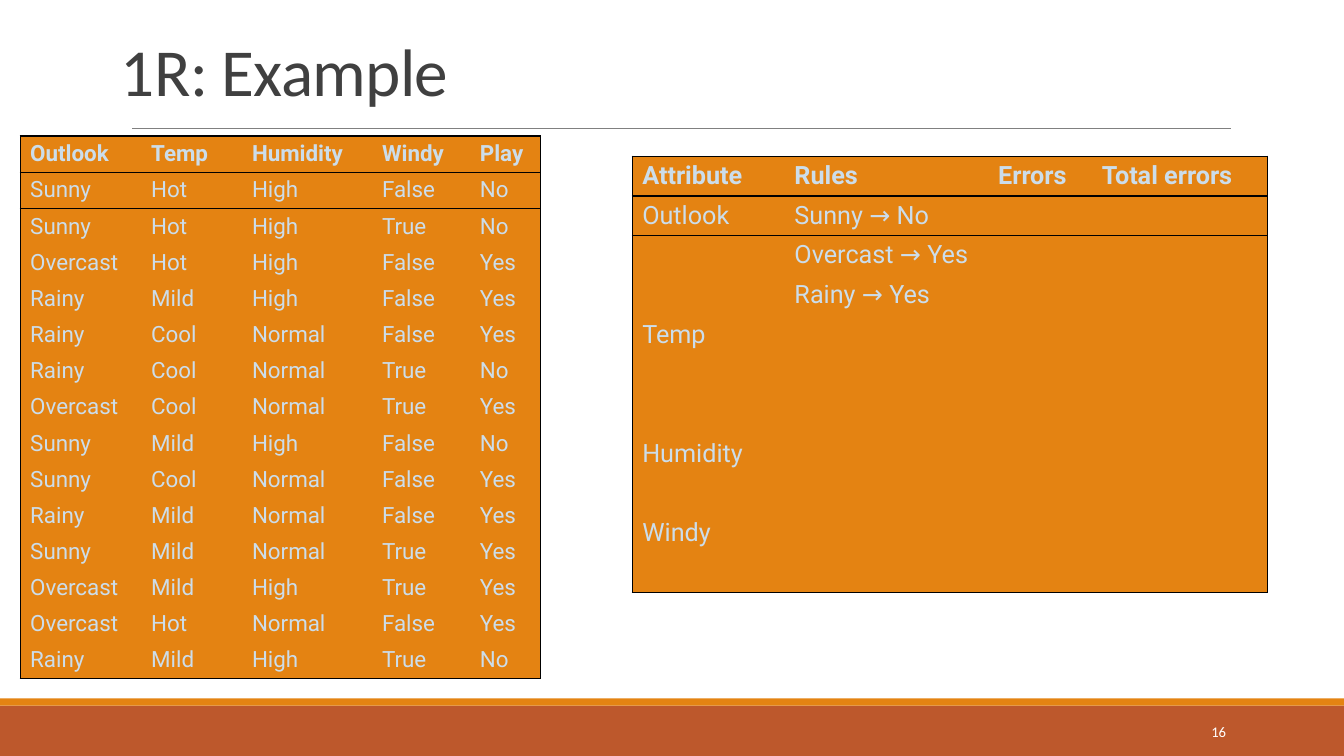
from lxml import etree
from pptx import Presentation
from pptx.dml.color import RGBColor
from pptx.enum.shapes import MSO_CONNECTOR, MSO_SHAPE
from pptx.enum.text import MSO_ANCHOR, MSO_AUTO_SIZE, PP_ALIGN
from pptx.oxml.ns import qn
from pptx.text.text import Font
from pptx.util import Inches, Pt

RECT = MSO_SHAPE.RECTANGLE
STRAIGHT = MSO_CONNECTOR.STRAIGHT
BOTTOM, MIDDLE = MSO_ANCHOR.BOTTOM, MSO_ANCHOR.MIDDLE
LEFT, RIGHT = PP_ALIGN.LEFT, PP_ALIGN.RIGHT
FIXED = MSO_AUTO_SIZE.NONE

RUST = RGBColor(0xBD, 0x58, 0x2C)
ORANGE = RGBColor(0xE4, 0x83, 0x12)
GRAY = RGBColor(0x80, 0x80, 0x80)
DARK = RGBColor(0x40, 0x40, 0x40)
PALE = RGBColor(0xCC, 0xDD, 0xEA)
WHITE = RGBColor(0xFF, 0xFF, 0xFF)
BLACK = RGBColor(0, 0, 0)
NO_GRID = "{2D5ABB26-0587-4C30-8999-92F81FD0307C}"

WEATHER = """Outlook Temp Humidity Windy Play
Sunny Hot High False No
Sunny Hot High True No
Overcast Hot High False Yes
Rainy Mild High False Yes
Rainy Cool Normal False Yes
Rainy Cool Normal True No
Overcast Cool Normal True Yes
Sunny Mild High False No
Sunny Cool Normal False Yes
Rainy Mild Normal False Yes
Sunny Mild Normal True Yes
Overcast Mild High True Yes
Overcast Hot Normal False Yes
Rainy Mild High True No"""

RULES = [
    ["Attribute", "Rules", "Errors", "Total errors"],
    ["Outlook", "Sunny → No"],
    ["", "Overcast → Yes"],
    ["", "Rainy → Yes"],
    ["Temp"],
    [],
    [],
    ["Humidity"],
    [],
    ["Windy"],
    [],
]


class Deck:
    title_font = {"name": "Calibri", "size": Pt(48), "color": DARK}
    page_font = {"name": "Calibri", "size": Pt(10.5), "color": WHITE}
    cell_font = {"name": "Roboto", "color": PALE}

    def __init__(self, slide):
        self.slide = slide
        self.shapes = slide.shapes

    def style(self, font, form):
        for key, value in form.items():
            if key == "color":
                font.color.rgb = value
            else:
                setattr(font, key, value)

    def place(self, shape, box):
        for key, value in zip(("left", "top", "width", "height"), box):
            setattr(shape, key, Inches(value))

    def text(self, shape, words, form, anchor, align):
        frame = shape.text_frame
        frame.word_wrap = True
        frame.auto_size = FIXED
        frame.vertical_anchor = anchor
        para = frame.paragraphs[0]
        para.alignment = align
        run = para.add_run()
        run.text = words
        self.style(run.font, form)
        return para

    def title(self, words, box):
        shape = self.shapes.title
        self.place(shape, box)
        para = self.text(shape, words, self.title_font, BOTTOM, LEFT)
        para.line_spacing = 0.85
        para.runs[0].font._element.set("spc", "-50")

    def label(self, words, box):
        shape = self.shapes.add_textbox(*map(Inches, box))
        self.text(shape, words, self.page_font, MIDDLE, RIGHT)

    def bar(self, box, color):
        shape = self.shapes.add_shape(RECT, *map(Inches, box))
        shape.shadow.inherit = False
        shape.fill.solid()
        shape.fill.fore_color.rgb = color
        shape.line.fill.background()

    def rule(self, ends, color, width):
        line = self.shapes.add_connector(STRAIGHT, *map(Inches, ends))
        line.line.color.rgb = color
        line.line.width = Pt(width)
        etree.SubElement(line._element.spPr, qn("a:effectLst"))

    def border(self, cell, side):
        props = cell._tc.get_or_add_tcPr()
        edge = etree.SubElement(props, qn("a:ln" + side), w=str(Pt(1)))
        fill = etree.SubElement(edge, qn("a:solidFill"))
        etree.SubElement(fill, qn("a:srgbClr"), val=str(BLACK))

    def cell(self, cell, words, form, sides):
        for side in sides:
            self.border(cell, side)
        cell.fill.solid()
        cell.fill.fore_color.rgb = ORANGE
        para = cell.text_frame.paragraphs[0]
        if words:
            run = para.add_run()
            run.text = words
            self.style(run.font, form)
        else:
            self.style(Font(para._p.get_or_add_endParaRPr()), form)

    def table(self, data, left, top, widths, high, size):
        rows, cols = len(data), len(widths)
        box = (left, top, sum(widths), high * rows)
        table = self.shapes.add_table(rows, cols, *map(Inches, box)).table
        table.horz_banding = False
        table._tbl.tblPr.find(qn("a:tableStyleId")).text = NO_GRID
        for col, width in zip(table.columns, widths):
            col.width = Inches(width)
        for r, items in enumerate(data):
            table.rows[r].height = Inches(high)
            form = {**self.cell_font, "size": Pt(size), "bold": r == 0}
            for c in range(cols):
                edges = {"L": c == 0, "R": c == cols - 1,
                         "T": r < 2, "B": r in (0, rows - 1)}
                sides = [side for side, drawn in edges.items() if drawn]
                words = items[c] if c < len(items) else ""
                self.cell(table.cell(r, c), words, form, sides)


def main():
    show = Presentation()
    show.slide_width, show.slide_height = Inches(13.33), Inches(7.5)
    deck = Deck(show.slides.add_slide(show.slide_layouts[5]))
    deck.bar((0, 7, 13.33, 0.5), RUST)
    deck.bar((0, 6.93, 13.33, 0.07), ORANGE)
    deck.rule((1.31, 1.27, 12.21, 1.27), GRAY, 0.5)
    deck.title("1R: Example", (1.1, 0.06, 11, 1.08))
    deck.label("16", (10.83, 7.06, 1.43, 0.4))
    weather = [row.split() for row in WEATHER.splitlines()]
    deck.table(weather, 0.2, 1.35, (1.2, 1, 1.29, 0.97, 0.7), 0.35, 16)
    deck.table(RULES, 6.27, 1.55, (1.51, 2.02, 1.03, 1.74), 0.39, 18)
    show.save("out.pptx")


if __name__ == "__main__":
    main()
